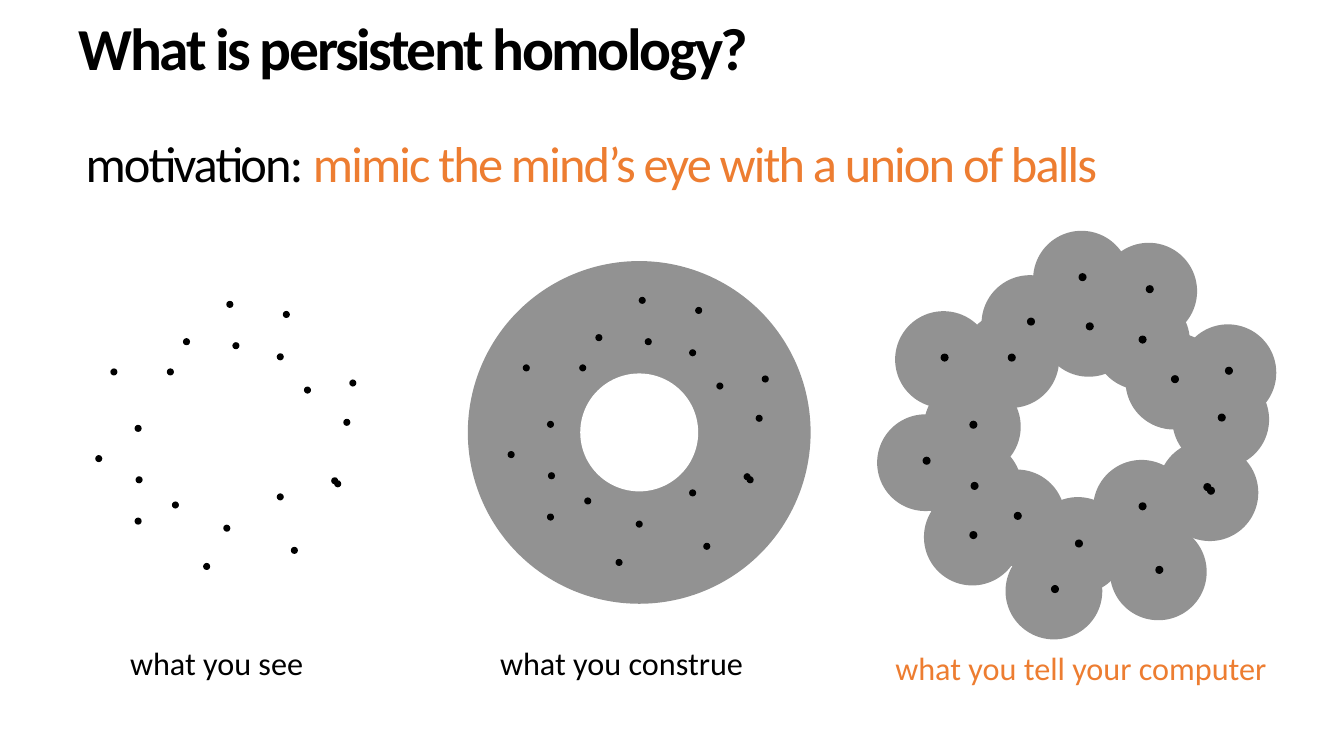
from pptx import Presentation
from pptx.dml.color import RGBColor
from pptx.enum.shapes import MSO_SHAPE
from pptx.enum.text import MSO_ANCHOR
from pptx.util import Emu, Pt

PX = 9144
BLACK = RGBColor(0x00, 0x00, 0x00)
WHITE = RGBColor(0xFF, 0xFF, 0xFF)
GRAY = RGBColor(0x92, 0x92, 0x92)
ORANGE = RGBColor(0xED, 0x7D, 0x31)

POINTS = [
    (246, 117), (71, 67), (194, 244), (234, 175), (237, 178), (180, 191), (0, 153),
    (40, 174), (39, 215), (76, 199), (107, 260), (127, 222), (130, 0), (87, 37),
    (15, 67), (39, 123), (180, 52), (186, 10), (136, 41), (207, 85), (252, 78),
]

prs = Presentation()
prs.slide_width = Emu(1333 * PX)
prs.slide_height = Emu(750 * PX)
s = prs.slides.add_slide(prs.slide_layouts[6])


def add_text(box, runs, size, anchor=MSO_ANCHOR.MIDDLE, inset=(3, 3), wrap=False,
             bold=False, line=1.0, spacing=0):
    tf = s.shapes.add_textbox(*[Emu(v * PX) for v in box]).text_frame
    tf.word_wrap = wrap
    tf.vertical_anchor = anchor
    tf.margin_left = tf.margin_right = Emu(inset[0] * PX)
    tf.margin_top = tf.margin_bottom = Emu(inset[1] * PX)
    p = tf.paragraphs[0]
    p.line_spacing = line
    p.font.name = "Calibri"
    p.font.size = Pt(size)
    p.font.bold = bold
    for text, color in runs:
        r = p.add_run()
        r.text = text
        r.font.color.rgb = color
        if spacing:
            r.font._element.set("spc", str(spacing))


def add_discs(centers, size, color):
    for x, y in centers:
        left, top = round((x - size / 2) * PX), round((y - size / 2) * PX)
        sp = s.shapes.add_shape(MSO_SHAPE.OVAL, left, top, size * PX, size * PX)
        sp.shadow.inherit = False
        sp.fill.solid()
        sp.fill.fore_color.rgb = color
        sp.line.fill.background()


add_text((75, 22, 1201, 78), [("What is persistent homology?", BLACK)], 42.5,
         anchor=MSO_ANCHOR.TOP, wrap=True, bold=True, line=0.8, spacing=-170)
add_text((75, 101, 1105, 128),
         [("motivation: ", BLACK), ("mimic the mind’s eye with a union of balls", ORANGE)],
         36, inset=(10, 5), wrap=True, line=0.9, spacing=-130)

seen = [(98 + x, 302 + y) for x, y in POINTS]
construed = [(x + 409, y - 4) for x, y in seen]
computed = [(919 + 1.19 * x, 275 + 1.19 * y) for x, y in POINTS]

add_discs(seen, 7, BLACK)
add_discs([(634, 429)], 340, GRAY)
add_discs([(634, 429)], 117, WHITE)
add_discs(construed, 7, BLACK)
add_discs([(x - 1, y + 2) for x, y in computed], 96, GRAY)
add_discs(computed, 8, BLACK)

for left, top, width, caption, color in [
    (126, 635, 180, "what you see", BLACK),
    (493, 635, 250, "what you construe", BLACK),
    (885, 640, 389, "what you tell your computer", ORANGE),
]:
    add_text((left, top, width, 44), [(caption, color)], 23)

prs.save("out.pptx")
